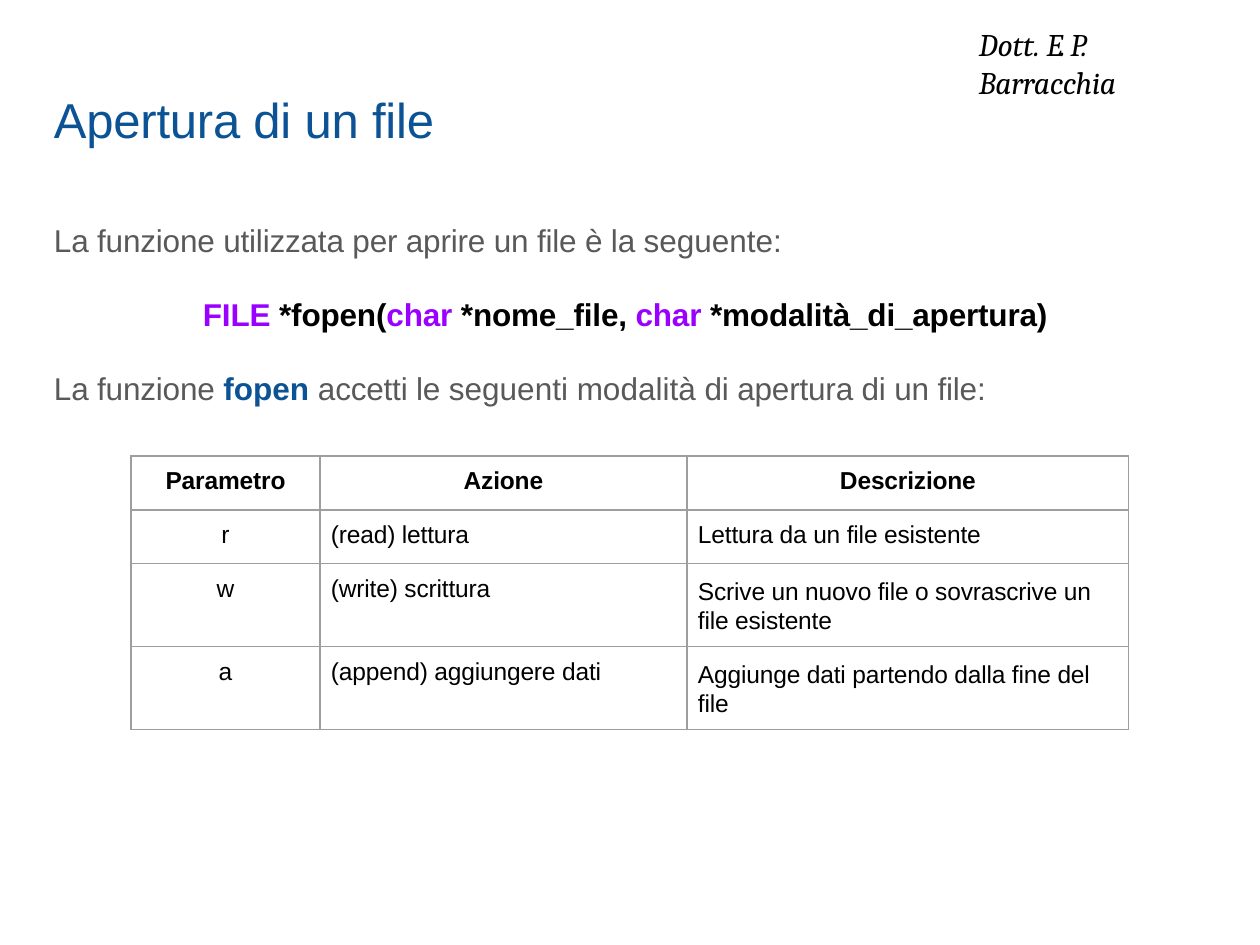
from pptx import Presentation
from pptx.dml.color import RGBColor
from pptx.enum.text import MSO_ANCHOR as ANCHOR, MSO_AUTO_SIZE as AUTO, PP_ALIGN as ALIGN
from pptx.oxml import parse_xml
from pptx.oxml.ns import nsdecls
from pptx.util import Emu, Pt

PX = 914400 // 126
COLORS = {"black": "000000", "blue": "0B5394", "gray": "595959",
          "purple": "9900FF", "border": "9E9E9E"}


def px(n):
    """Turn pixels into EMU."""
    return Emu(n * PX)


class Deck:
    """Holds the style and the current slide."""

    def __init__(self, width, height):
        """Start a deck with one title-only slide."""
        self.prs = Presentation()
        self.prs.slide_width, self.prs.slide_height = px(width), px(height)
        self.slide = self.prs.slides.add_slide(self.prs.slide_layouts[5])

    def fill_paragraph(self, p, runs, size, color="black", font="Arial",
                       bold=False, italic=False, align=ALIGN.LEFT, indent=0,
                       before=1.0):
        """Fill a paragraph with (text, colour, bold, spacing) runs."""
        p.alignment, p.space_before = align, Pt(before)
        pPr = p._p.get_or_add_pPr()
        pPr.set("marL", str(px(indent)))
        pPr.set("indent", "0")
        f = p.font
        f.size, f.name, f.bold, f.italic = Pt(size), font, bold, italic
        f.color.rgb = RGBColor.from_string(COLORS[color])
        for text, run_color, run_bold, spacing in runs:
            r = p.add_run()
            r.text = text
            r._r.get_or_add_rPr().set("spc", str(spacing))
            if run_color:
                r.font.color.rgb = RGBColor.from_string(COLORS[run_color])
            if run_bold:
                r.font.bold = True

    def frame(self, sp):
        """Give a text shape the common margins and wrapping."""
        tf = sp.text_frame
        tf.word_wrap, tf.auto_size = True, AUTO.NONE
        tf.vertical_anchor = ANCHOR.TOP
        tf.margin_left = tf.margin_right = tf.margin_bottom = 0
        tf.margin_top = px(1)
        return tf

    def title(self, x, y, w, h, text):
        """Place the slide title."""
        sp = self.slide.shapes.title
        sp.left, sp.top, sp.width, sp.height = map(px, (x, y, w, h))
        p = self.frame(sp).paragraphs[0]
        self.fill_paragraph(p, [plain(text)], 28, "blue", indent=1)

    def text(self, x, y, w, h, paragraphs):
        """Add a text box from (runs, style) paragraphs."""
        sp = self.slide.shapes.add_textbox(*map(px, (x, y, w, h)))
        tf = self.frame(sp)
        for i, (runs, style) in enumerate(paragraphs):
            p = tf.add_paragraph() if i else tf.paragraphs[0]
            self.fill_paragraph(p, runs, 18, **style)

    def cell(self, cell, text, centered, bold, tall):
        """Fill one table cell and draw its borders."""
        cell.margin_left = cell.margin_bottom = 0
        cell.margin_right = 0 if centered else px(8)
        cell.margin_top = px(13 if tall else 11)
        p = cell.text_frame.paragraphs[0]
        self.fill_paragraph(p, [plain(text)], 14, bold=bold,
                            before=7 if tall else 6.2,
                            align=ALIGN.CENTER if centered else ALIGN.LEFT,
                            indent=0 if centered else 11)
        if tall:
            p.line_spacing = Pt(16.5)
        tcPr = cell._tc.get_or_add_tcPr()
        for side in "LRTB":
            tcPr.append(parse_xml(
                f'<a:ln{side} {nsdecls("a")} w="{Pt(0.75)}"><a:solidFill>'
                f'<a:srgbClr val="{COLORS["border"]}"/></a:solidFill></a:ln{side}>'))
        cell.fill.background()

    def table(self, x, y, widths, heights, rows):
        """Add a bordered table with a bold header row."""
        table = self.slide.shapes.add_table(
            len(rows), len(widths), px(x), px(y),
            px(sum(widths)), px(sum(heights))).table
        table.first_row = table.horz_banding = False
        for column, width in zip(table.columns, widths):
            column.width = px(width)
        for i, (row, height) in enumerate(zip(rows, heights)):
            table.rows[i].height = px(height)
            for j, text in enumerate(row):
                self.cell(table.cell(i, j), text, centered=i == 0 or j == 0,
                          bold=i == 0, tall=i > 1 and j == 2)


def plain(text, color=None, bold=False, spacing=-10):
    """Describe one run of text."""
    return text, color, bold, spacing


deck = Deck(1260, 945)
deck.text(48, 24, 1164, 42, [
    ([plain("Dott. "), plain("E. ", spacing=-140), plain("P. ", spacing=-30),
      plain("Barracchia", spacing=-20)],
     dict(font="Cambria", italic=True, indent=931))])
deck.title(53, 89, 387, 62, "Apertura di un file")
deck.text(53, 220, 1005, 183, [
    ([plain("La funzione utilizzata per aprire un file è la "),
      plain("seguente:", spacing=0)], dict(color="gray", indent=1)),
    ([plain("FILE ", "purple"), plain("*fopen("), plain("char ", "purple"),
      plain("*nome_file, "), plain("char ", "purple"),
      plain("*modalità_di_apertura)")],
     dict(bold=True, indent=150, before=20.7)),
    ([plain("La funzione "), plain("fopen ", "blue", True, 0),
      plain("accetti le "), plain("seguenti modalità ", spacing=0),
      plain("di apertura di un file:")],
     dict(color="gray", indent=1, before=20.7))])
deck.table(131, 456, [189, 367, 442], [54, 54, 83, 83], [
    ["Parametro", "Azione", "Descrizione"],
    ["r", "(read) lettura", "Lettura da un file esistente"],
    ["w", "(write) scrittura", "Scrive un nuovo file o sovrascrive un file esistente"],
    ["a", "(append) aggiungere dati", "Aggiunge dati partendo dalla fine del file"]])
deck.prs.save("out.pptx")
